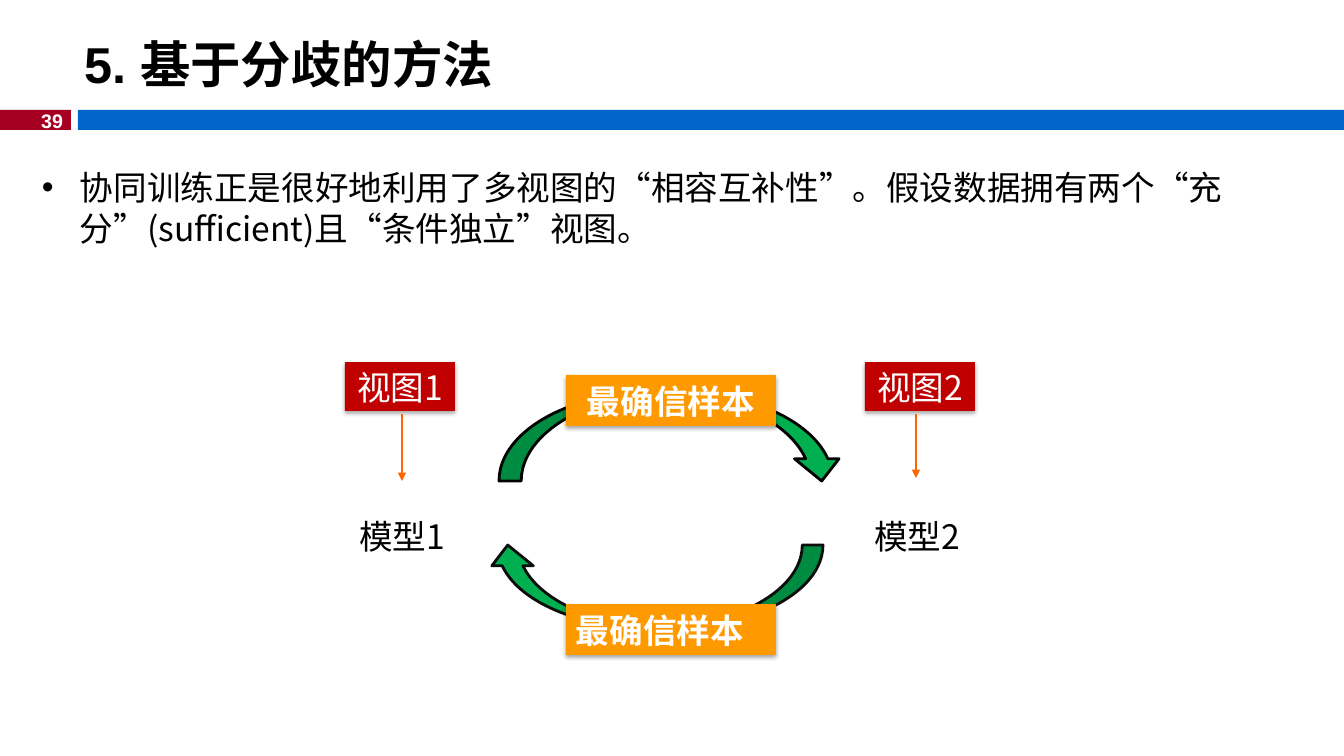
from lxml.etree import SubElement
from pptx import Presentation
from pptx.dml.color import RGBColor
from pptx.enum.lang import MSO_LANGUAGE_ID as LANG
from pptx.enum.shapes import MSO_CONNECTOR as LINE, MSO_SHAPE as SHAPE
from pptx.enum.text import MSO_ANCHOR as ANCHOR, MSO_AUTO_SIZE as AUTO, PP_ALIGN as ALIGN
from pptx.oxml.ns import qn
from pptx.util import Emu, Pt

WIDE, HIGH = 1344, 756
SCALE = 12192000 / WIDE
SANS, SERIF = "Noto Sans CJK SC", "TeX Gyre Pagella"
WHITE, BLACK, RED, ORANGE = "FFFFFF", "000000", "C00000", "FF9900"


def px(num):
    return Emu(round(num * SCALE))


def area(*nums):
    return [px(num) for num in nums]


def color(code):
    return RGBColor.from_string(code)


def add(parent, tag, **attrs):
    return SubElement(parent, qn(tag), attrs)


def write(shape, text, size=24, font=SANS, ink=BLACK, bold=False,
          align=ALIGN.LEFT, anchor=ANCHOR.MIDDLE, pad=(10, 5), gap=None):
    """Fill a shape with one paragraph; gap is the line pitch in points."""
    frame = shape.text_frame
    frame.word_wrap = True
    frame.auto_size = AUTO.NONE
    frame.vertical_anchor = anchor
    frame.margin_left = frame.margin_right = px(pad[0])
    frame.margin_top = frame.margin_bottom = px(pad[1])
    frame.text = text
    para = frame.paragraphs[0]
    para.alignment = align
    if gap:
        para.line_spacing = Pt(gap)
    for run in para.runs:
        face = run.font
        face.size, face.bold, face.name = Pt(size), bold, font
        face.color.rgb = color(ink)
        face.language_id = LANG.SIMPLIFIED_CHINESE
        add(face._element, "a:ea", typeface=SANS)
    return para


def block(slide, kind, box, fill, edge=None):
    shape = slide.shapes.add_shape(kind, *area(*box))
    shape.shadow.inherit = False
    shape.fill.solid()
    shape.fill.fore_color.rgb = color(fill)
    if edge:
        shape.line.color.rgb = color(edge)
        shape.line.width = Pt(2)
    else:
        shape.line.fill.background()
    return shape


def card(slide, box, fill, text, **style):
    """Add a filled label with a soft shadow below it."""
    shape = block(slide, SHAPE.RECTANGLE, box, fill)
    glow = add(shape._element.spPr.find(qn("a:effectLst")), "a:outerShdw",
               blurRad="40000", dist="23000", dir="5400000", rotWithShape="0")
    tint = add(glow, "a:srgbClr", val=BLACK)
    add(tint, "a:alpha", val="35000")
    write(shape, text, ink=WHITE, gap=29, **style)


def label(slide, box, text, **style):
    return write(slide.shapes.add_textbox(*area(*box)), text, **style)


def arrow(slide, x, top, end):
    line = slide.shapes.add_connector(LINE.STRAIGHT, *area(x, top, x, end))
    line.line.color.rgb = color("FF6600")
    line.line.width = Pt(1.75)
    add(line.line._get_or_add_ln(), "a:tailEnd", type="triangle")
    add(line._element.spPr, "a:effectLst")


def header(slide):
    block(slide, SHAPE.RECTANGLE, (0, 110, 71, 20), "A50021")
    block(slide, SHAPE.RECTANGLE, (78, 110, WIDE - 78, 20), "0066CC")
    label(slide, (29, 104, 44, 34), "39", size=14, font="Arial", ink=WHITE,
          bold=True, align=ALIGN.RIGHT, anchor=ANCHOR.TOP)
    title = slide.shapes.title
    title.left, title.top, title.width, title.height = area(74, 26, 1270, 75)
    write(title, "5. 基于分歧的方法", size=36, font="Arial", bold=True)


def body(slide):
    para = label(slide, (32, 161, 1312, 515),
                 "协同训练正是很好地利用了多视图的“相容互补性”。假设数据拥有两个"
                 "“充分”(sufficient)且“条件独立”视图。",
                 anchor=ANCHOR.TOP, gap=29.5)
    props = para._p.get_or_add_pPr()
    props.set("marL", str(px(38)))
    props.set("indent", str(-px(38)))
    add(props, "a:buFont", typeface="Arial")
    add(props, "a:buChar", char="•")


def diagram(slide):
    views = ((1, 345, 350, 402, 481), (2, 865, 865, 916, 478))
    for num, left, model, stem, end in views:
        card(slide, (left, 362, 110, 49), RED, f"视图{num}",
             align=ALIGN.CENTER, pad=(8, 4))
        label(slide, (model, 520, 104, 40), f"模型{num}",
              align=ALIGN.CENTER, pad=(8, 4), gap=23)
        arrow(slide, stem, 414, end)
    block(slide, SHAPE.CURVED_DOWN_ARROW, (499, 392, 345, 89), "00B050", BLACK)
    back = block(slide, SHAPE.CURVED_DOWN_ARROW, (487, 545, 336, 83),
                 "00B050", "0D0D0D")
    back.rotation = 180
    for top, align in ((375, ALIGN.CENTER), (604, ALIGN.LEFT)):
        card(slide, (566, top, 210, 51), ORANGE, "最确信样本",
             font=SERIF, bold=True, align=align)


def main():
    deck = Presentation()
    deck.slide_width, deck.slide_height = area(WIDE, HIGH)
    slide = deck.slides.add_slide(deck.slide_layouts[5])
    header(slide)
    body(slide)
    diagram(slide)
    deck.save("out.pptx")


if __name__ == "__main__":
    main()
